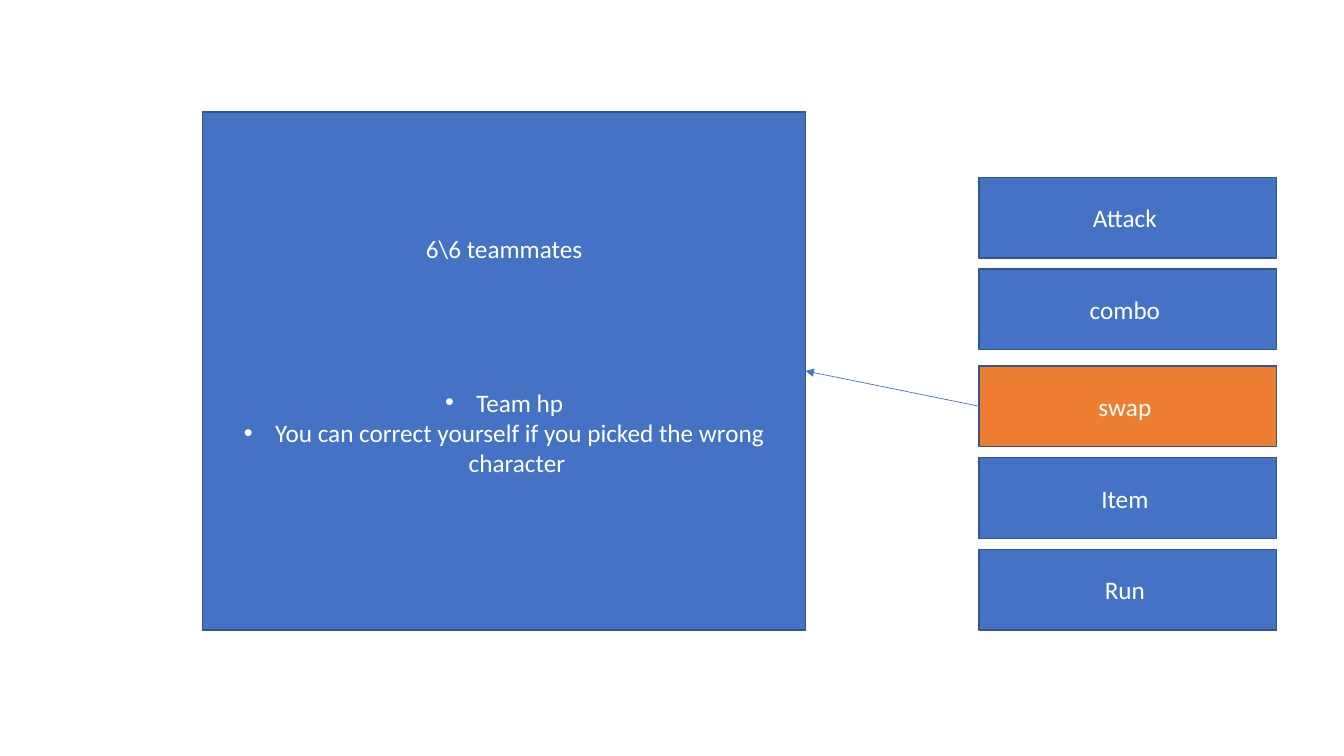
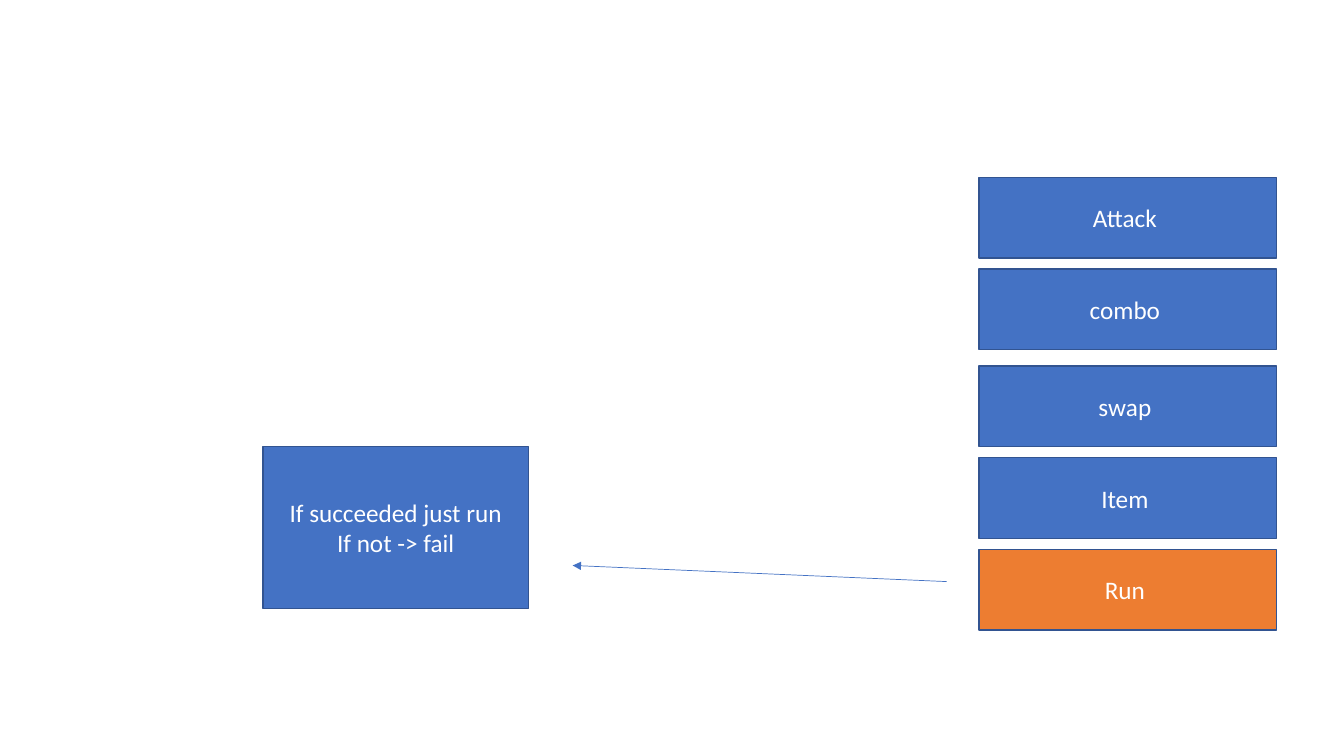
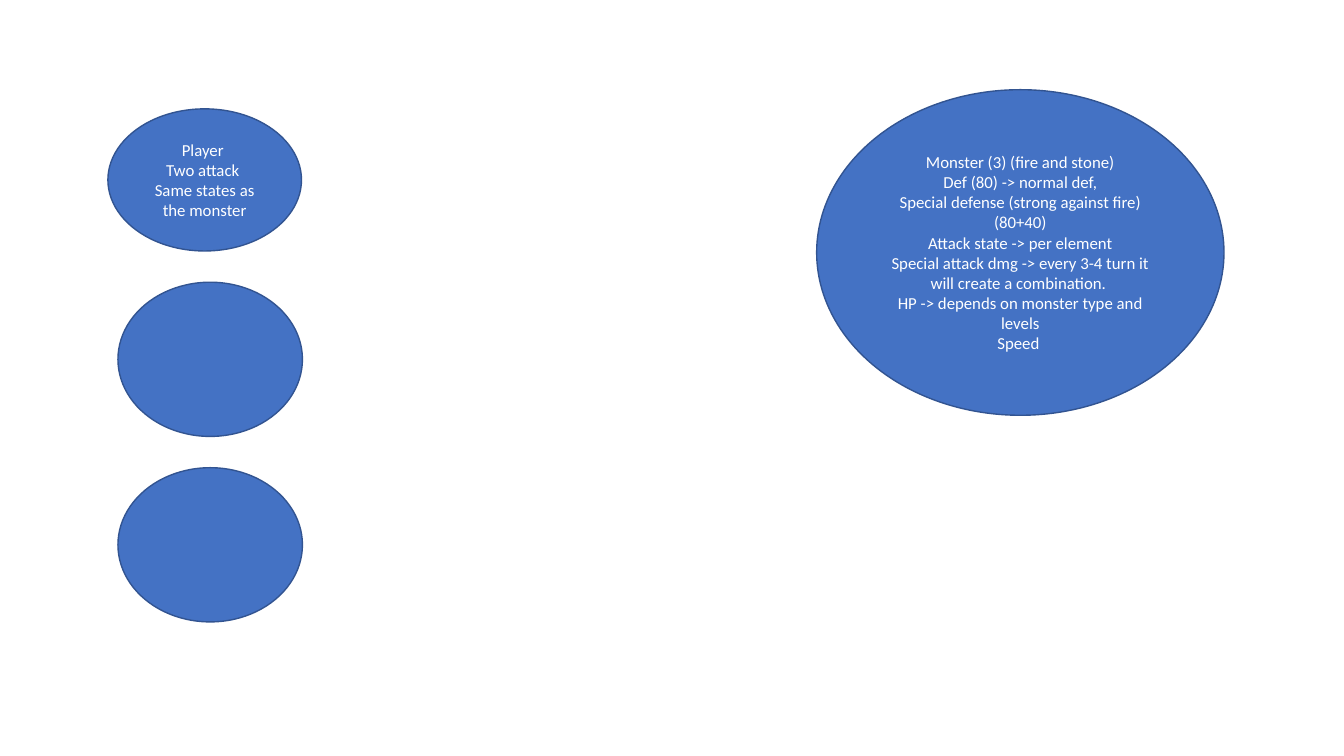
from lxml.etree import SubElement
from pptx import Presentation
from pptx.dml.color import RGBColor
from pptx.enum.shapes import MSO_CONNECTOR, MSO_SHAPE
from pptx.enum.text import MSO_ANCHOR, PP_ALIGN
from pptx.oxml.ns import qn
from pptx.util import Inches, Pt

# Shared style
BLUE, OUTLINE, ORANGE, WHITE = "4472C4", "325491", "ED7D31", "FFFFFF"
FONT = "Calibri"
LEFT_SITE, RIGHT_SITE = 1, 3

# Content
ACTIONS = ["Attack ", "combo ", "swap ", "Item ", "Run "]
TEAM_HEADING = ["6\\6 teammates"]
TEAM_BULLETS = ["Team hp", "You can correct yourself if you picked the wrong character "]
RUN_RESULT = ["If succeeded just run", "If not -> fail"]
MONSTER = [
    "Monster (3) (fire and stone)",
    "Def (80) -> normal def,",
    "Special defense (strong against fire) (80+40)",
    "Attack state -> per element",
    "Special attack dmg -> every 3-4 turn it will create a combination. ",
    "HP -> depends on monster type and levels",
    "Speed ",
]
PLAYER = ["Player ", "Two attack ", "Same states as the monster"]

# Action menu layout, in inches
MENU_LEFT, MENU_TOP, BUTTON_WIDTH, BUTTON_HEIGHT = 9.71, 1.76, 2.95, 0.8
BUTTON_PITCH = 0.91
GROUP_GAP, GROUP_START = 0.05, 2


def color(value):
    return RGBColor.from_string(value)


def add_bullet(paragraph):
    properties = paragraph._p.get_or_add_pPr()
    properties.set("marL", str(Inches(0.31)))
    properties.set("indent", str(-Inches(0.31)))
    SubElement(properties, qn("a:buFont")).set("typeface", "Arial")
    SubElement(properties, qn("a:buChar")).set("char", "•")


def add_box(page, at, lines=(), bullets=(), size=18, fill=BLUE, kind=MSO_SHAPE.RECTANGLE):
    box = page.shapes.add_shape(kind, *map(Inches, at))
    box.shadow.inherit = False
    box.fill.solid()
    box.fill.fore_color.rgb = color(fill)
    box.line.color.rgb = color(OUTLINE)
    box.line.width = Pt(1)
    frame = box.text_frame
    frame.word_wrap = True
    frame.vertical_anchor = MSO_ANCHOR.MIDDLE
    for index, text in enumerate([*lines, *bullets]):
        paragraph = frame.paragraphs[0] if index == 0 else frame.add_paragraph()
        paragraph.text = text
        paragraph.alignment = PP_ALIGN.CENTER
        if index >= len(lines):
            add_bullet(paragraph)
        paragraph.font.size = Pt(size)
        paragraph.font.name = FONT
        paragraph.font.color.rgb = color(WHITE)
    return box


def add_arrow(page, start=(0, 0), end=(0, 0)):
    arrow = page.shapes.add_connector(MSO_CONNECTOR.STRAIGHT, *map(Inches, (*start, *end)))
    arrow.line.color.rgb = color(BLUE)
    arrow.line.width = Pt(0.5)
    SubElement(arrow.line._get_or_add_ln(), qn("a:tailEnd")).set("type", "triangle")
    SubElement(arrow._element.spPr, qn("a:effectLst"))
    return arrow


def add_menu_page(deck, chosen):
    page = deck.slides.add_slide(deck.slide_layouts[6])
    buttons = {}
    for index, action in enumerate(ACTIONS):
        top = MENU_TOP + index * BUTTON_PITCH + (GROUP_GAP if index >= GROUP_START else 0)
        buttons[action] = add_box(page, (MENU_LEFT, top, BUTTON_WIDTH, BUTTON_HEIGHT), [action],
                                  fill=ORANGE if action == chosen else BLUE)
    return page, buttons[chosen]


deck = Presentation()
deck.slide_width, deck.slide_height = Inches(13.33), Inches(7.5)

# Swap
page, swap_button = add_menu_page(deck, "swap ")
team_panel = add_box(page, (2.01, 1.11, 5.98, 5.14), TEAM_HEADING, TEAM_BULLETS)
team_panel.text_frame.paragraphs[1].space_before = Pt(88)
team_panel.text_frame.margin_bottom = Inches(0.35)
swap_arrow = add_arrow(page)
swap_arrow.begin_connect(swap_button, LEFT_SITE)
swap_arrow.end_connect(team_panel, RIGHT_SITE)

# Run
page, run_button = add_menu_page(deck, "Run ")
add_arrow(page, (9.39, 5.77), (5.68, 5.61))
add_box(page, (2.61, 4.43, 2.63, 1.61), RUN_RESULT)

# Battle
page = deck.slides.add_slide(deck.slide_layouts[6])
for at, lines in [
    ((8.1, 0.89, 4.04, 3.23), MONSTER),
    ((1.07, 1.08, 1.92, 1.41), PLAYER),
    ((1.17, 2.8, 1.83, 1.53), []),
    ((1.17, 4.64, 1.83, 1.53), []),
]:
    add_box(page, at, lines, size=12, kind=MSO_SHAPE.OVAL)

deck.save("out.pptx")
